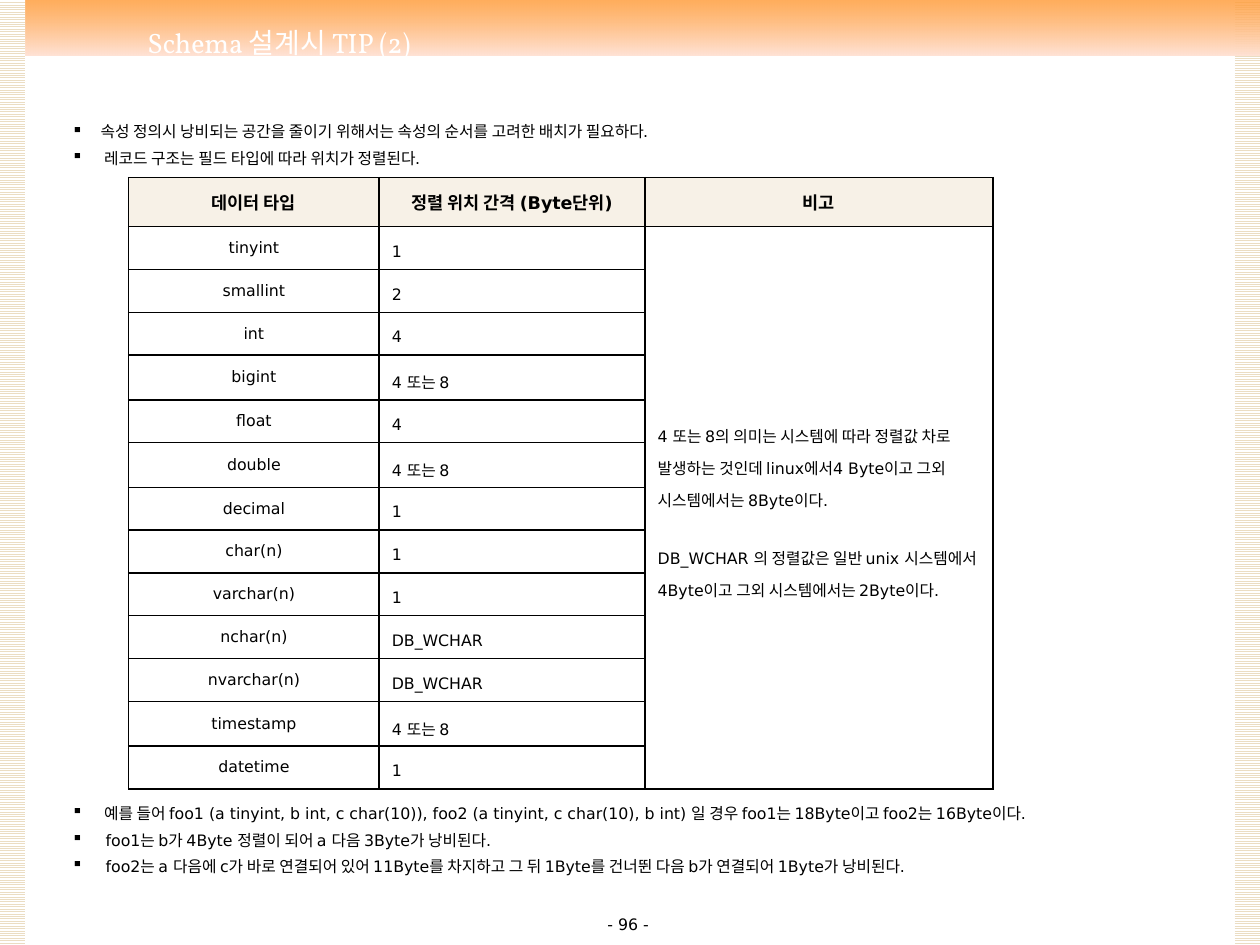
from lxml.etree import SubElement
from pptx import Presentation
from pptx.dml.color import RGBColor
from pptx.enum.dml import MSO_PATTERN
from pptx.enum.shapes import MSO_SHAPE
from pptx.enum.text import MSO_ANCHOR, MSO_AUTO_SIZE, PP_ALIGN
from pptx.oxml.ns import qn
from pptx.util import Inches, Pt

COLUMN = ROW = Inches(0.1)
BODY_FONT, TITLE_FONT = "DejaVu Sans", "Vollkorn"
BLACK = RGBColor(0x00, 0x00, 0x00)
WHITE = RGBColor(0xFF, 0xFF, 0xFF)
SAND = RGBColor(0xEB, 0xDD, 0xC3)
CREAM = RGBColor(0xF7, 0xF1, 0xE7)
ORANGE = RGBColor(0xFF, 0x99, 0x33)
PEACH = RGBColor(0xFF, 0xE3, 0xD6)

HEADINGS = ["데이터 타입", "정렬 위치 간격 (Byte단위)", "비고"]
ALIGNMENTS = [
    ("tinyint", "1"), ("smallint", "2"), ("int", "4"), ("bigint", "4 또는 8"),
    ("float", "4"), ("double", "4 또는 8"), ("decimal", "1"), ("char(n)", "1"),
    ("varchar(n)", "1"), ("nchar(n)", "DB_WCHAR"), ("nvarchar(n)", "DB_WCHAR"),
    ("timestamp", "4 또는 8"), ("datetime", "1"),
]
REMARKS = [
    "4 또는 8의 의미는 시스템에 따라 정렬값 차로 발생하는 것인데 linux에서4 Byte이고 그외 시스템에서는 8Byte이다.",
    "DB_WCHAR 의 정렬값은 일반 unix 시스템에서 4Byte이고 그외 시스템에서는 2Byte이다.",
]
RULES = [
    "속성 정의시 낭비되는 공간을 줄이기 위해서는 속성의 순서를 고려한 배치가 필요하다.",
    " 레코드 구조는 필드 타입에 따라 위치가 정렬된다.",
]
EXAMPLES = [
    " 예를 들어 foo1 (a tinyint, b int, c char(10)), foo2 (a tinyint, c char(10), b int) 일 경우 foo1는 18Byte이고 foo2는 16Byte이다.",
    " foo1는 b가 4Byte 정렬이 되어 a 다음 3Byte가 낭비된다.",
    " foo2는 a 다음에 c가 바로 연결되어 있어 11Byte를 차지하고 그 뒤 1Byte를 건너뛴 다음 b가 연결되어 1Byte가 낭비된다.",
]


def grid_box(column, row, columns, rows):
    """Turn grid columns and rows into left, top, width and height."""
    return (round(column * COLUMN), round(row * ROW),
            round(columns * COLUMN), round(rows * ROW))


def write(frame, lines, size=9, font=BODY_FONT, color=BLACK, bold=False,
          align=PP_ALIGN.LEFT, spacing=None, gap=0, bullet=None):
    """Fill a text frame with one formatted paragraph per line."""
    frame.word_wrap = True
    for index, line in enumerate(lines):
        para = frame.add_paragraph() if index else frame.paragraphs[0]
        para.alignment = align
        if spacing:
            para.line_spacing = spacing
        if index and gap:
            para.space_before = Pt(gap)
        if bullet:
            properties = para._p.get_or_add_pPr()
            properties.set("marL", str(Inches(0.23)))
            properties.set("indent", str(-Inches(0.23)))
            SubElement(properties, qn("a:buChar"), char=bullet)
        span = para.add_run()
        span.text = line
        span.font.size, span.font.name, span.font.bold = Pt(size), font, bold
        span.font.color.rgb = color


def add_panel(page, box):
    """Add a plain rectangle without line or shadow."""
    panel = page.shapes.add_shape(MSO_SHAPE.RECTANGLE, *box)
    panel.shadow.inherit = False
    panel.line.fill.background()
    return panel


def add_side_strip(page, box):
    """Add a vertical strip with fine horizontal stripes."""
    fill = add_panel(page, box).fill
    fill.patterned()
    fill.pattern = MSO_PATTERN.LIGHT_HORIZONTAL
    fill.fore_color.rgb, fill.back_color.rgb = SAND, WHITE


def add_top_band(page, box):
    """Add the band that fades downwards from orange to peach."""
    band = add_panel(page, box)
    band.fill.gradient()
    band.fill.gradient_angle = 270
    for stop, color in zip(band.fill.gradient_stops, (ORANGE, PEACH)):
        stop.color.rgb = color
    first_color = next(band._element.iter(qn("a:srgbClr")))
    SubElement(first_color, qn("a:alpha"), val="80000")


def place_title(page, box, text):
    """Move the title placeholder to the front of the band and format it."""
    title = page.shapes.title
    page.shapes._spTree.append(title._element)
    title.left, title.top, title.width, title.height = box
    frame = title.text_frame
    frame.auto_size = MSO_AUTO_SIZE.NONE
    frame.vertical_anchor = MSO_ANCHOR.MIDDLE
    write(frame, [text], size=16, font=TITLE_FONT, color=WHITE,
          align=PP_ALIGN.CENTER)


def add_bullets(page, box, lines):
    """Add a text box of square-bulleted lines."""
    frame = page.shapes.add_textbox(*box).text_frame
    frame.auto_size = MSO_AUTO_SIZE.SHAPE_TO_FIT_TEXT
    write(frame, lines, spacing=1.4, bullet="▪")


def add_page_number(page, box, text):
    """Add the centred page number."""
    frame = page.shapes.add_textbox(*box).text_frame
    frame.margin_top = frame.margin_bottom = 0
    frame.vertical_anchor = MSO_ANCHOR.MIDDLE
    write(frame, [text], align=PP_ALIGN.CENTER)


def format_cell(cell, fill_color=None):
    """Give a cell black borders, a middle anchor and an optional fill."""
    cell.vertical_anchor = MSO_ANCHOR.MIDDLE
    properties = cell._tc.get_or_add_tcPr()
    for side in ("a:lnL", "a:lnR", "a:lnT", "a:lnB"):
        line = SubElement(properties, qn(side), w=str(Pt(1)))
        solid = SubElement(line, qn("a:solidFill"))
        SubElement(solid, qn("a:srgbClr"), val=str(BLACK))
    if fill_color is None:
        cell.fill.background()
    else:
        cell.fill.solid()
        cell.fill.fore_color.rgb = fill_color


def add_alignment_table(page, box):
    """Add the table of data types, their alignment and the merged remark."""
    count = len(ALIGNMENTS) + 1
    table = page.shapes.add_table(count, len(HEADINGS), *box).table
    table.first_row = table.horz_banding = False
    for column, width in zip(table.columns, (19.9, 21.1, 27.6)):
        column.width = round(width * COLUMN)
    for index, row in enumerate(table.rows):
        row.height = round((3.4 if index else 3.9) * ROW)
        for cell in row.cells:
            format_cell(cell, None if index else CREAM)
    for index, heading in enumerate(HEADINGS):
        write(table.cell(0, index).text_frame, [heading], size=10, bold=True,
              align=PP_ALIGN.CENTER)
    for index, (kind, step) in enumerate(ALIGNMENTS, 1):
        write(table.cell(index, 0).text_frame, [kind], align=PP_ALIGN.CENTER)
        write(table.cell(index, 1).text_frame, [step], spacing=1.4)
    remark = table.cell(1, 2)
    remark.merge(table.cell(count - 1, 2))
    write(remark.text_frame, REMARKS, spacing=1.4, gap=15)


def main():
    """Build the slide and save the deck."""
    deck = Presentation()
    deck.slide_width, deck.slide_height = 100 * COLUMN, 75 * ROW
    page = deck.slides.add_slide(deck.slide_layouts[5])
    add_side_strip(page, grid_box(98, 0, 2, 75))
    add_top_band(page, grid_box(0, 0, 100, 4.4))
    add_side_strip(page, grid_box(0, 0, 2, 75))
    add_page_number(page, grid_box(38.2, 72.4, 23.3, 1.9), "- 96 -")
    place_title(page, grid_box(2.8, 1.6, 38.7, 3.6), "Schema 설계시 TIP (2)")
    add_alignment_table(page, grid_box(10.2, 14.1, 68.6, 48.1))
    add_bullets(page, grid_box(4.7, 8.6, 50.9, 5), RULES)
    add_bullets(page, grid_box(4.7, 62.7, 81.2, 7.1), EXAMPLES)
    deck.save("out.pptx")


if __name__ == "__main__":
    main()
